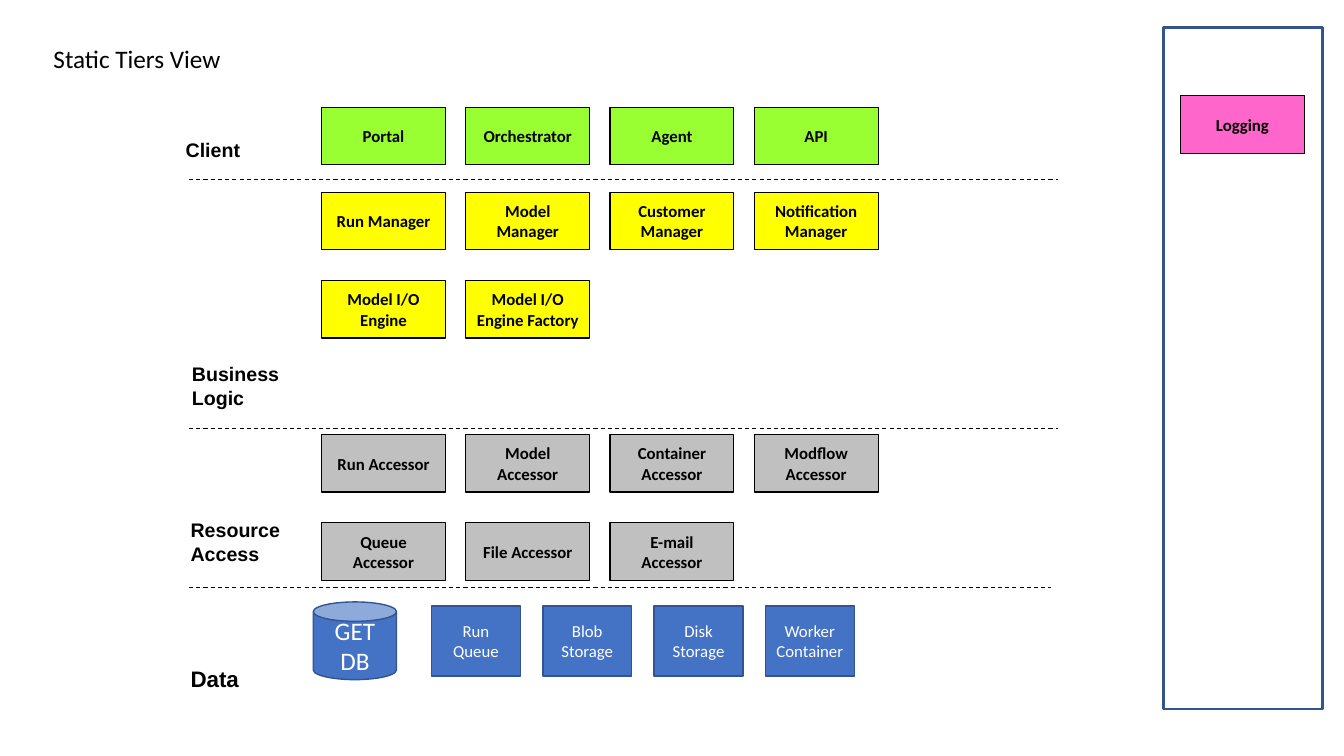
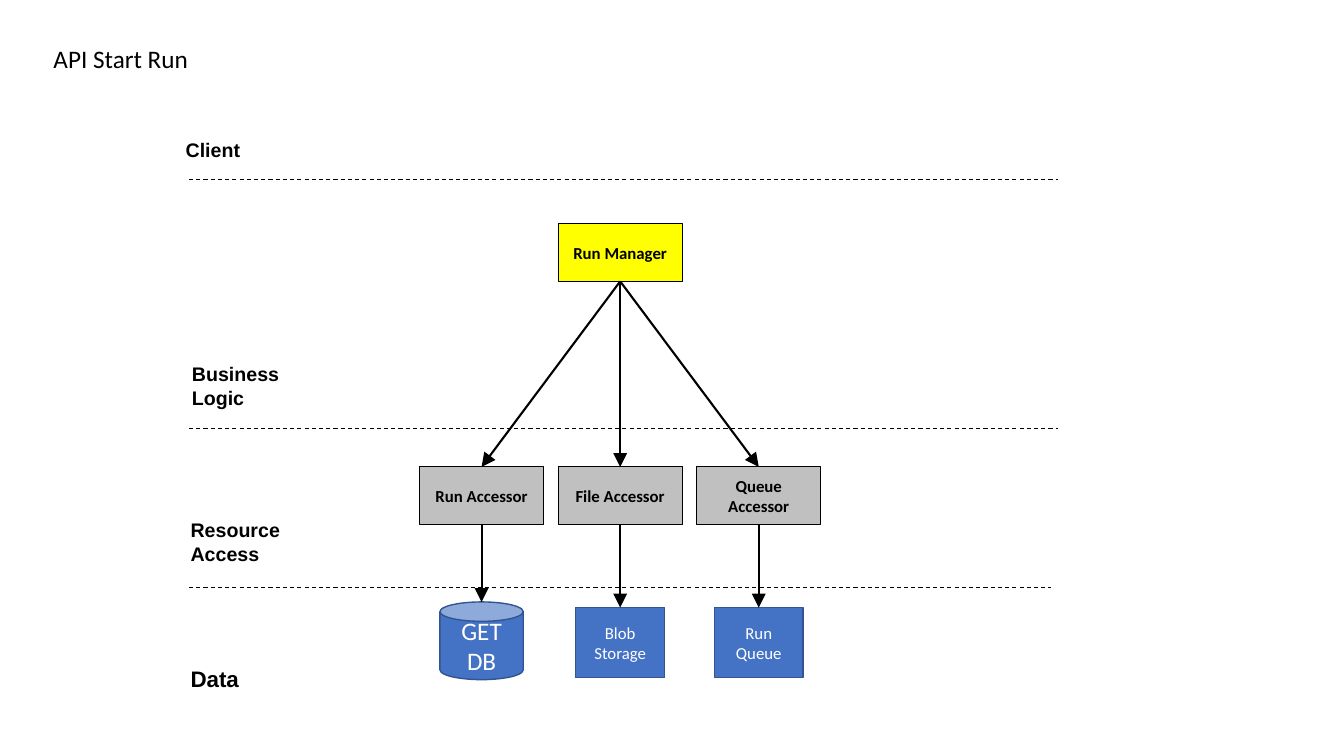
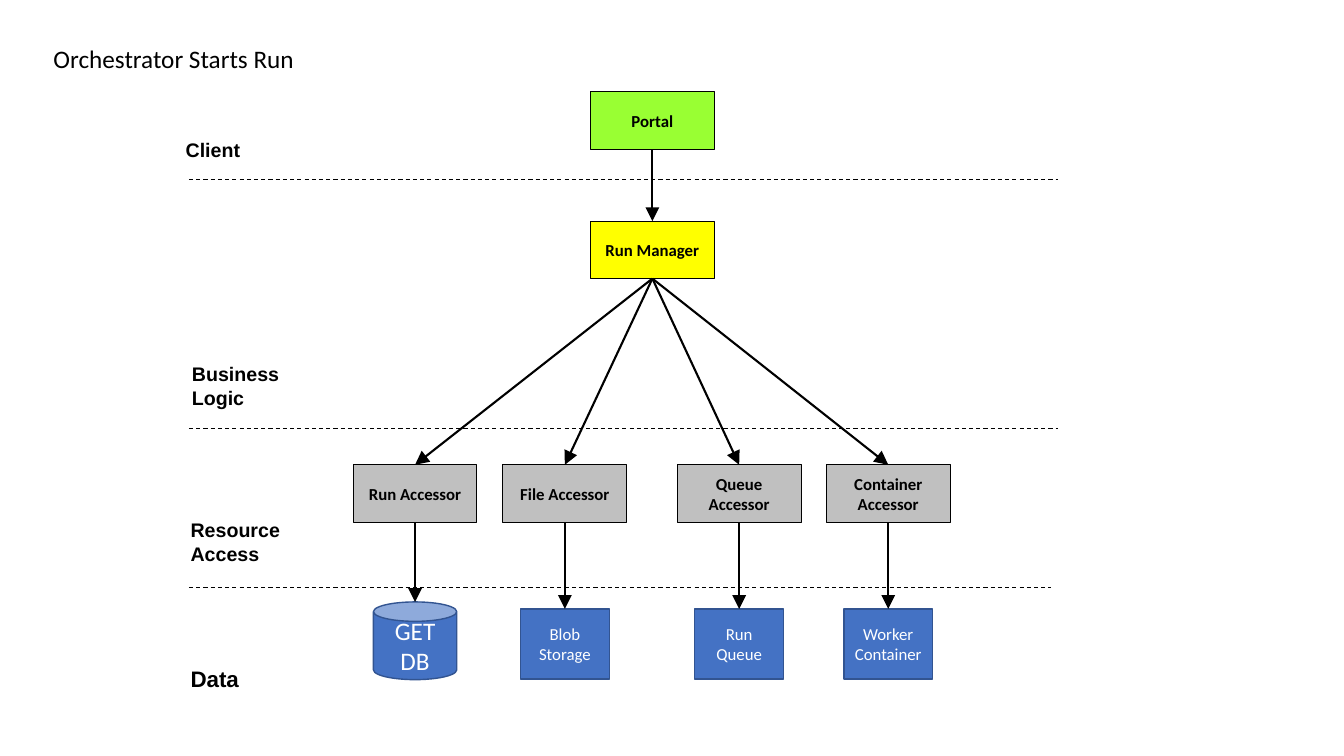
from dataclasses import dataclass

from lxml import etree
from pptx import Presentation
from pptx.dml.color import RGBColor
from pptx.enum.dml import MSO_LINE
from pptx.enum.shapes import MSO_CONNECTOR, MSO_SHAPE
from pptx.enum.text import MSO_ANCHOR, MSO_AUTO_SIZE, PP_ALIGN
from pptx.oxml.ns import qn
from pptx.util import Pt

RECT, CAN = MSO_SHAPE.RECTANGLE, MSO_SHAPE.CAN
STRAIGHT, DASH = MSO_CONNECTOR.STRAIGHT, MSO_LINE.DASH
LEFT, CENTER = PP_ALIGN.LEFT, PP_ALIGN.CENTER
TOP, MIDDLE = MSO_ANCHOR.TOP, MSO_ANCHOR.MIDDLE


@dataclass(frozen=True)
class Theme:
    black: RGBColor = RGBColor.from_string("000000")
    white: RGBColor = RGBColor.from_string("FFFFFF")
    green: RGBColor = RGBColor.from_string("99FF33")
    yellow: RGBColor = RGBColor.from_string("FFFF00")
    gray: RGBColor = RGBColor.from_string("C0C0C0")
    pink: RGBColor = RGBColor.from_string("FF66CC")
    blue: RGBColor = RGBColor.from_string("4472C4")
    navy: RGBColor = RGBColor.from_string("325491")
    body_font: str = "Calibri"
    tier_font: str = "Arial"
    title_size: int = 18
    tier_size: int = 14
    data_tier_size: int = 16
    node_size: int = 12
    database_size: int = 18


@dataclass(frozen=True)
class NodeStyle:
    fill: RGBColor
    line: RGBColor = Theme.black
    line_width: float = 0.75
    text: RGBColor = Theme.black
    size: int = Theme.node_size
    bold: bool = True
    shape: MSO_SHAPE = RECT
    width: float = 88.5
    height: float = 41


CLIENT = NodeStyle(Theme.green)
LOGIC = NodeStyle(Theme.yellow)
ACCESSOR = NodeStyle(Theme.gray)
UTILITY = NodeStyle(Theme.pink)
STORE = NodeStyle(Theme.blue, Theme.navy, 1, Theme.white, bold=False,
                  width=63.5, height=50)
DATABASE = NodeStyle(Theme.blue, Theme.navy, 1, Theme.white, Theme.database_size,
                     False, CAN, 59.5, 55.5)

# Label, size, left, top, width, height, then end and height of the line below
TIERS = [
    ("Client", Theme.tier_size, 125.5, 95, 60, 24, 756, 128),
    ("Business\vLogic", Theme.tier_size, 130, 255, 80, 41, 756, 306),
    ("Resource\vAccess", Theme.tier_size, 129, 366.5, 82, 41, 751, 420),
    ("Data", Theme.data_tier_size, 129, 471.5, 60, 27, None, None),
]
TIER_LINE_LEFT = 135
DATABASE_TOP = 430


def add_line(s, x1, y1, x2, y2, width):
    line = s.shapes.add_connector(STRAIGHT, Pt(x1), Pt(y1), Pt(x2), Pt(y2))
    line.line.color.rgb = Theme.black
    line.line.width = Pt(width)
    etree.SubElement(line._element.spPr, qn("a:effectLst"))
    return line


def add_node(s, style, text, center, top):
    node = s.shapes.add_shape(style.shape, Pt(center - style.width / 2), Pt(top),
                              Pt(style.width), Pt(style.height))
    node.shadow.inherit = False
    node.fill.solid()
    node.fill.fore_color.rgb = style.fill
    node.line.color.rgb = style.line
    node.line.width = Pt(style.line_width)
    tf = node.text_frame
    tf.word_wrap = True
    tf.vertical_anchor = MIDDLE
    tf.text = text
    p = tf.paragraphs[0]
    p.alignment = CENTER
    font = p.runs[0].font
    font.name, font.size, font.bold = Theme.body_font, Pt(style.size), style.bold
    font.color.rgb = style.text
    return node


# Static view: rows of nodes as style, first center, pitch, top and names
rows = [
    (CLIENT, 274, 103, 76.5, ["Portal", "Orchestrator", "Agent", "API"]),
    (LOGIC, 274, 103, 137.5, ["Run Manager", "Model Manager", "Customer Manager",
                              "Notification Manager"]),
    (LOGIC, 274, 103, 200.5, ["Model I/O Engine", "Model I/O Engine Factory"]),
    (ACCESSOR, 274, 103, 310.5, ["Run Accessor", "Model Accessor",
                                 "Container Accessor", "Modflow Accessor"]),
    (ACCESSOR, 274, 103, 373.5, ["Queue Accessor", "File Accessor",
                                 "E-mail Accessor"]),
    (DATABASE, 253.5, 0, DATABASE_TOP, ["GET DB"]),
    (STORE, 340, 79.5, 433, ["Run Queue", "Blob Storage", "Disk Storage",
                             "Worker Container"]),
    (UTILITY, 887.5, 0, 68.5, ["Logging"]),
]
static_nodes = [(style, name, first + i * pitch, top)
                for style, first, pitch, top, names in rows
                for i, name in enumerate(names)]
views = [("Static Tiers View", static_nodes, [])]

# Run flows: a manager calls accessors, each of which uses one store
flows = [
    ("API Start Run", 443, None, 160, 333.5, 434,
     [("Run Accessor", "GET DB", 344), ("File Accessor", "Blob Storage", 443),
      ("Queue Accessor", "Run Queue", 542)]),
    ("Orchestrator Starts Run", 466, 65.5, 158, 332, 435,
     [("Run Accessor", "GET DB", 296.5), ("File Accessor", "Blob Storage", 403.5),
      ("Queue Accessor", "Run Queue", 528),
      ("Container Accessor", "Worker Container", 634.5)]),
]
for title, center, client_top, manager_top, accessor_top, store_top, columns in flows:
    nodes = [(LOGIC, "Run Manager", center, manager_top)]
    links = []
    if client_top is not None:
        nodes.append((CLIENT, "Portal", center, client_top))
        links.append(("Portal", "Run Manager"))
    for accessor, store, x in columns:
        nodes.append((ACCESSOR, accessor, x, accessor_top))
        if store == "GET DB":
            nodes.append((DATABASE, store, x, DATABASE_TOP))
        else:
            nodes.append((STORE, store, x, store_top))
        links += [("Run Manager", accessor), (accessor, store)]
    views.append((title, nodes, links))

prs = Presentation()
prs.slide_width, prs.slide_height = Pt(960), Pt(540)
title_only = prs.slide_layouts[5]

for title, nodes, links in views:
    s = prs.slides.add_slide(title_only)
    heading = s.shapes.title
    heading.left, heading.top, heading.width, heading.height = (
        Pt(31), Pt(27.5), Pt(300), Pt(29))
    tf = heading.text_frame
    tf.text = title
    tf.auto_size = MSO_AUTO_SIZE.NONE
    tf.vertical_anchor = TOP
    p = tf.paragraphs[0]
    p.alignment = LEFT
    font = p.runs[0].font
    font.name, font.size = Theme.body_font, Pt(Theme.title_size)
    font.color.rgb = Theme.black

    for label, size, left, top, width, height, line_right, line_y in TIERS:
        tier = s.shapes.add_textbox(Pt(left), Pt(top), Pt(width), Pt(height))
        tf = tier.text_frame
        tf.word_wrap = True
        tf.text = label
        for r in tf.paragraphs[0].runs:
            r.font.name, r.font.size, r.font.bold = Theme.tier_font, Pt(size), True
            r.font.color.rgb = Theme.black
        if line_y:
            divider = add_line(s, TIER_LINE_LEFT, line_y, line_right, line_y, 0.75)
            divider.line.dash_style = DASH

    placed = {name: add_node(s, style, name, x, top) for style, name, x, top in nodes}

    for source, target in links:
        start, end = placed[source], placed[target]
        arrow = add_line(s, 0, 0, 0, 0, 1.5)
        arrow.begin_connect(start, 2)
        # The top of a can is its site 1, the top of a rectangle its site 0
        arrow.end_connect(end, 1 if end.auto_shape_type == CAN else 0)
        arrow.end_x, arrow.end_y = end.left + end.width // 2, end.top
        etree.SubElement(arrow.line._get_or_add_ln(), qn("a:tailEnd"),
                         type="triangle", w="lg", len="lg")

panel = prs.slides[0].shapes.add_shape(RECT, Pt(831), Pt(19.5), Pt(113.5), Pt(487))
panel.shadow.inherit = False
panel.fill.background()
panel.line.color.rgb = Theme.navy
panel.line.width = Pt(2)

prs.save("out.pptx")
